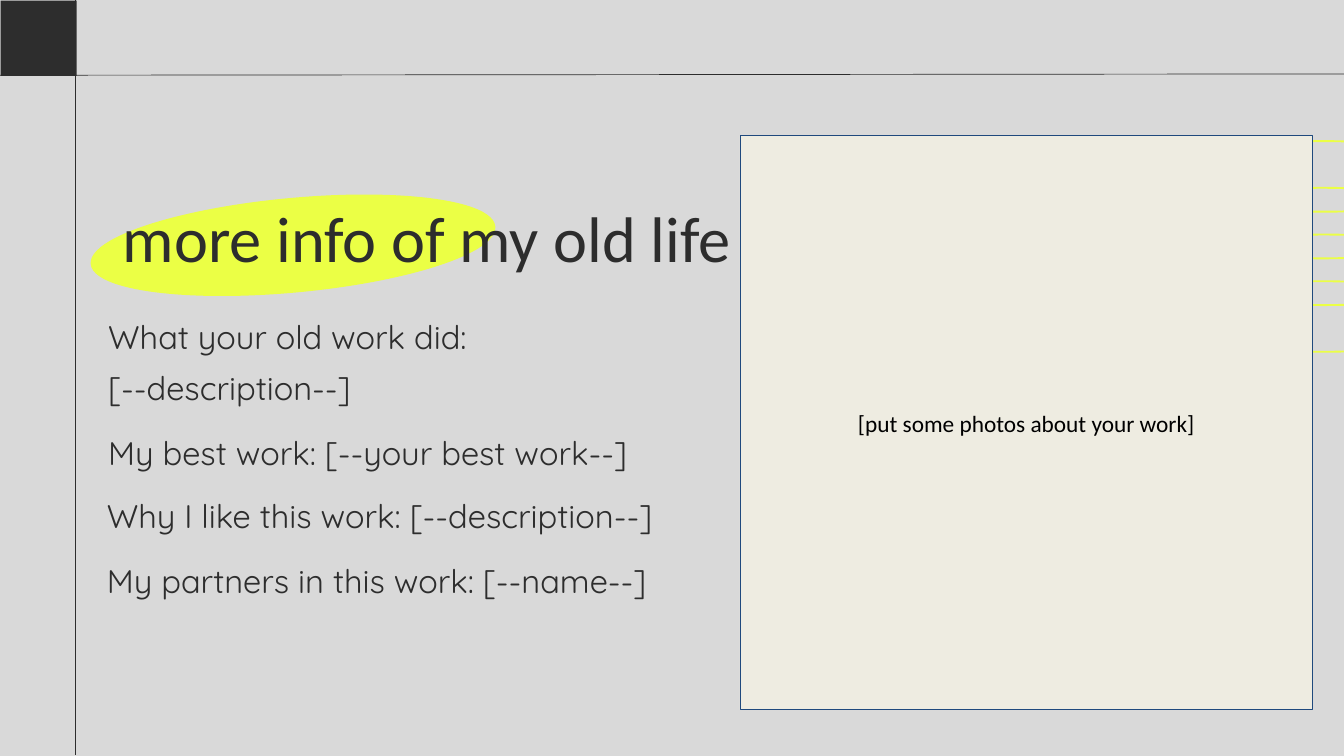
from lxml import etree
from pptx import Presentation
from pptx.dml.color import RGBColor
from pptx.enum import shapes, text
from pptx.oxml import ns
from pptx.util import Inches, Pt

GREY = RGBColor(0xD9, 0xD9, 0xD9)
DARK = RGBColor(0x2D, 0x2D, 0x2D)
YELLOW = RGBColor(0xEB, 0xFF, 0x45)
CREAM = RGBColor(0xEE, 0xEC, 0xE1)
NAVY = RGBColor(0x1F, 0x49, 0x7D)
BLACK = RGBColor(0, 0, 0)


def write_text(frame, lines, font="Quicksand", size=35, color=DARK,
               align=text.PP_ALIGN.LEFT, anchor=text.MSO_ANCHOR.TOP,
               spacing=None, inset=0):
    frame.word_wrap = True
    frame.vertical_anchor = anchor
    frame.margin_left = frame.margin_right = Inches(inset)
    frame.margin_top = frame.margin_bottom = Inches(inset)
    for i, line in enumerate(lines):
        paragraph = frame.add_paragraph() if i else frame.paragraphs[0]
        paragraph.alignment = align
        if spacing:
            paragraph.line_spacing = spacing
        run = paragraph.add_run()
        run.text = line
        run.font.name = font
        run.font.size = Pt(size)
        run.font.color.rgb = color


class SlideBuilder:
    def __init__(self, slide, background):
        self.slide = slide
        slide.background.fill.solid()
        slide.background.fill.fore_color.rgb = background

    def shape(self, kind, left, top, width, height, fill=None, line=None,
              weight=2, rotation=0):
        shape = self.slide.shapes.add_shape(
            kind, Inches(left), Inches(top), Inches(width), Inches(height))
        shape.shadow.inherit = False
        shape.rotation = rotation
        if fill is None:
            shape.fill.background()
        else:
            shape.fill.solid()
            shape.fill.fore_color.rgb = fill
        if line is None:
            shape.line.fill.background()
        else:
            shape.line.color.rgb = line
            shape.line.width = Pt(weight)
        return shape

    def rule(self, x1, y1, x2, y2):
        rule = self.slide.shapes.add_connector(
            shapes.MSO_CONNECTOR.STRAIGHT,
            Inches(x1), Inches(y1), Inches(x2), Inches(y2))
        rule.line.color.rgb = DARK
        rule.line.width = Pt(0.75)
        etree.SubElement(rule._element.spPr, ns.qn("a:effectLst"))

    def text(self, lines, left, top, width, height, **style):
        box = self.slide.shapes.add_textbox(
            Inches(left), Inches(top), Inches(width), Inches(height))
        write_text(box.text_frame, lines, **style)


def main():
    deck = Presentation()
    deck.slide_width, deck.slide_height = Inches(20), Inches(11.25)
    page = SlideBuilder(deck.slides.add_slide(deck.slide_layouts[6]), GREY)
    oval = shapes.MSO_SHAPE.OVAL
    rectangle = shapes.MSO_SHAPE.RECTANGLE

    # Title highlight, corner block and margin rules
    page.shape(oval, 1.35, 2.96, 6.02, 1.38, YELLOW, YELLOW, rotation=354.7)
    page.shape(rectangle, 0.01, 0.01, 1.13, 1.12, DARK)
    page.rule(1.12, -0.01, 1.12, 11.24)
    page.rule(20, 1.1, 0, 1.12)

    # Title
    page.text(["more info of my old life"], 1.83, 2.95, 9.41, 1.16,
              font="Calibri", size=69)

    # Overlapping rings behind the photo frame
    for i in range(4):
        page.shape(oval, 17.17 if i % 2 else 17.2, 2.1 + 0.695 * i, 5, 1.05,
                   line=YELLOW)

    # Photo frame
    photo_frame = page.shape(rectangle, 11.01, 2.02, 8.52, 8.54,
                             CREAM, NAVY, 0.75)
    write_text(photo_frame.text_frame, ["[put some photos about your work]"],
               font="Calibri", size=25, color=BLACK, inset=0.1,
               align=text.PP_ALIGN.CENTER, anchor=text.MSO_ANCHOR.MIDDLE)

    # Work details
    details = [
        (1.61, 4.54, 1.35, ["What your old work did:", "[--description--]"]),
        (1.61, 6.26, 0.59, ["My best work: [--your best work--]"]),
        (1.59, 7.21, 0.59, ["Why I like this work: [--description--]"]),
        (1.59, 8.17, 0.59, ["My partners in this work: [--name--]"]),
    ]
    for left, top, height, lines in details:
        page.text(lines, left, top, 8.37, height, spacing=1.3)

    deck.save("out.pptx")


if __name__ == "__main__":
    main()
